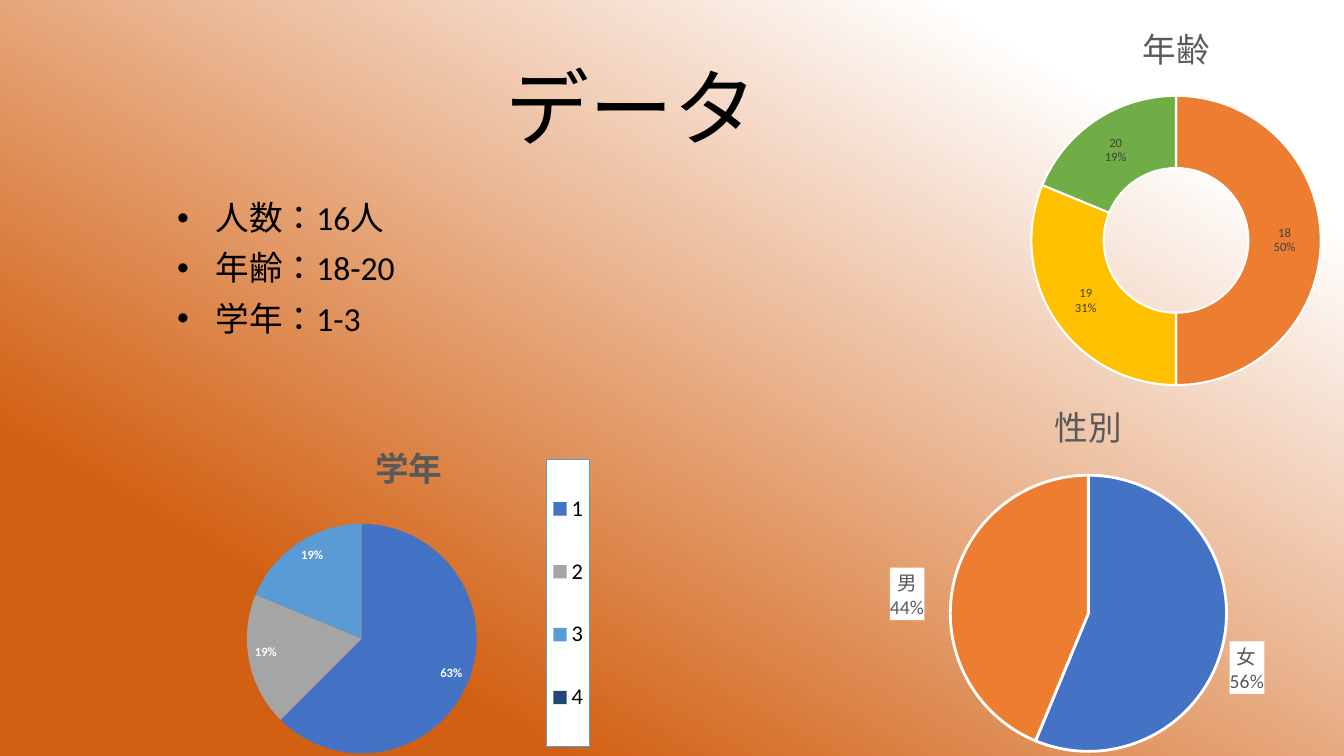
from copy import deepcopy

from pptx import Presentation
from pptx.chart.data import CategoryChartData
from pptx.dml.color import RGBColor
from pptx.enum.chart import XL_CHART_TYPE as Kind, XL_LABEL_POSITION as Spot
from pptx.enum.chart import XL_LEGEND_POSITION as Side
from pptx.enum.lang import MSO_LANGUAGE_ID as Lang
from pptx.enum.text import MSO_ANCHOR as Anchor, PP_ALIGN as Align
from pptx.oxml import parse_xml
from pptx.oxml.ns import nsdecls, qn
from pptx.util import Inches, Pt

BLACK = RGBColor(0, 0, 0)
WHITE = RGBColor(0xFF, 0xFF, 0xFF)
RUST = RGBColor(0xD2, 0x60, 0x12)
GREY = RGBColor(0x59, 0x59, 0x59)
DARK = RGBColor(0x40, 0x40, 0x40)
BLUE = RGBColor(0x44, 0x72, 0xC4)
ORANGE = RGBColor(0xED, 0x7D, 0x31)
GOLD = RGBColor(0xFF, 0xC0, 0x00)
GREEN = RGBColor(0x70, 0xAD, 0x47)
SILVER = RGBColor(0xA5, 0xA5, 0xA5)
SKY = RGBColor(0x5B, 0x9B, 0xD5)
NAVY = RGBColor(0x26, 0x44, 0x78)
EDGE = '<c:xMode val="edge"/><c:yMode val="edge"/>'


def style(font, size, color, bold=False):
    """Set face, size, colour and weight of a font."""
    font.name = "Calibri"
    font.size = Pt(size)
    font.color.rgb = color
    font.bold = bold


def shade(slide):
    """Give the slide its slanted gradient."""
    fill = slide.background.fill
    fill.gradient()
    fill.gradient_angle = 240
    for stop, (color, pos) in zip(fill.gradient_stops, ((WHITE, 0.15), (RUST, 0.79))):
        stop.color.rgb = color
        stop.position = pos


def write(slide, box, lines, size):
    """Add a text box and return its frame."""
    frame = slide.shapes.add_textbox(*map(Inches, box)).text_frame
    frame.word_wrap = True
    frame.text = "\n".join(lines)
    for para in frame.paragraphs:
        para.line_spacing = 0.9
        style(para.font, size, BLACK)
        para.runs[0].font.language_id = Lang.JAPANESE
    return frame


def bullet(para):
    """Turn a paragraph into a bulleted one."""
    para.space_before = Pt(10)
    props = para._p.get_or_add_pPr()
    props.set("marL", str(Inches(0.38)))
    props.set("indent", str(-Inches(0.38)))
    props.append(parse_xml(f'<a:buFont {nsdecls("a")} typeface="Arial"/>'))
    props.append(parse_xml(f'<a:buChar {nsdecls("a")} char="•"/>'))


def place(part, index, spots, modes=""):
    """Set the manual layout of a chart part."""
    for old in part.findall(qn("c:layout")):
        part.remove(old)
    body = modes + "".join(f'<c:{k} val="{v}"/>' for k, v in zip("xywh", spots))
    part.insert(index, parse_xml(
        f'<c:layout {nsdecls("c")}><c:manualLayout>{body}</c:manualLayout></c:layout>'))


def paint(part, fill=None, line=None):
    """Fill and outline a chart part that has text properties."""
    def ink(color):
        return (f'<a:solidFill><a:srgbClr val="{color}"/></a:solidFill>'
                if color else "<a:noFill/>")
    part.find(qn("c:txPr")).addprevious(parse_xml(
        f'<c:spPr {nsdecls("c", "a")}>{ink(fill)}'
        f'<a:ln w="12700">{ink(line)}</a:ln></c:spPr>'))


def label(series, size, color, names=True, bold=False):
    """Show shares, with or without names, on the slices."""
    tags = series.data_labels
    style(tags.font, size, color, bold)
    tags.show_value = False
    tags.show_percentage = True
    tags.show_category_name = names
    for lead in tags._element.findall(qn("c:showLeaderLines")):
        lead.set("val", "0")
    if names:
        mark = parse_xml(f'<c:separator {nsdecls("c")}>\n</c:separator>')
        tags._element.find(qn("c:showBubbleSize")).addnext(mark)
    return tags


def nudge(tags, index, shift):
    """Move one label away from its automatic place."""
    root = tags._element
    tag = parse_xml(f'<c:dLbl {nsdecls("c")}><c:idx val="{index}"/></c:dLbl>')
    for child in root:
        if child.tag != qn("c:showLeaderLines"):
            tag.append(deepcopy(child))
    place(tag, 1, shift)
    root.insert(0, tag)


def hide(tags, index):
    """Drop the label of one slice."""
    tags._element.insert(0, parse_xml(
        f'<c:dLbl {nsdecls("c")}><c:idx val="{index}"/><c:delete val="1"/></c:dLbl>'))


def ring(slide, kind, box, title, data, area, edge=None, bold=False):
    """Add a round chart from (name, value, colour) rows."""
    info = CategoryChartData()
    info.categories = [name for name, _, _ in data]
    info.add_series(title, [value for _, value, _ in data])
    chart = slide.shapes.add_chart(kind, *map(Inches, box), info).chart
    style(chart.font, 10, BLACK)
    paint(chart._chartSpace)
    chart.has_legend = False
    chart.has_title = True
    head = chart.chart_title.text_frame
    head.text = title
    style(head.paragraphs[0].font, 24, GREY, bold)
    plot = chart.plots[0]
    plot.vary_by_categories = True
    for i, (_, _, color) in enumerate(data):
        look = plot.series[0].points[i].format
        look.fill.solid()
        look.fill.fore_color.rgb = color
        if edge:
            look.line.color.rgb = WHITE
            look.line.width = Pt(edge)
        else:
            look.line.fill.background()
    place(chart._chartSpace.chart.plotArea, 0, area,
          '<c:layoutTarget val="inner"/>' + EDGE)
    return chart


def key(chart, box):
    """Add the framed legend at the right."""
    chart.has_legend = True
    legend = chart.legend
    legend.position = Side.RIGHT
    legend.include_in_layout = False
    style(legend.font, 16, BLACK)
    paint(legend._element, WHITE, SKY)
    place(legend._element, 1, box, EDGE)


def main():
    """Build the slide and save it."""
    deck = Presentation()
    deck.slide_width, deck.slide_height = Inches(13.33), Inches(7.5)
    slide = deck.slides.add_slide(deck.slide_layouts[6])
    shade(slide)

    head = write(slide, (1.26, 0.35, 10, 1.26), ["データ"], 60)
    head.vertical_anchor = Anchor.BOTTOM
    head.paragraphs[0].alignment = Align.CENTER
    facts = write(slide, (1.66, 1.95, 10, 4.9),
                  ["人数：16人", "年齢：18-20", "学年：1-3"], 24)
    for para in facts.paragraphs:
        bullet(para)

    age = ring(slide, Kind.DOUGHNUT, (8.61, 0, 6.11, 3.96), "年齢",
               [("18", 8, ORANGE), ("19", 5, GOLD), ("20", 3, GREEN)],
               (0.26, 0.24, 0.48, 0.725), 1.5)
    label(age.plots[0].series[0], 9, DARK)

    sex = ring(slide, Kind.PIE, (7.97, 3.75, 5.65, 3.86), "性別",
               [("女", 9, BLUE), ("男", 7, ORANGE)],
               (0.25, 0.25, 0.5, 0.71), 2)
    tags = label(sex.plots[0].series[0], 14, GREY)
    tags.position = Spot.OUTSIDE_END
    paint(tags._element, WHITE)
    nudge(tags, 1, (-0.04, 0.09))

    year = ring(slide, Kind.PIE, (1.47, 4.26, 4.76, 3.35), "学年",
                [("1", 10, BLUE), ("2", 3, SILVER), ("3", 3, SKY), ("4", 0, NAVY)],
                (0.2, 0.28, 0.49, 0.68), bold=True)
    tags = label(year.plots[0].series[0], 9, WHITE, names=False, bold=True)
    tags.position = Spot.INSIDE_END
    hide(tags, 3)
    place(year.chart_title._element, 1, (0.46, 0.01), EDGE)
    key(year, (0.83, 0.09, 0.09, 0.85))

    deck.save("out.pptx")


if __name__ == "__main__":
    main()
